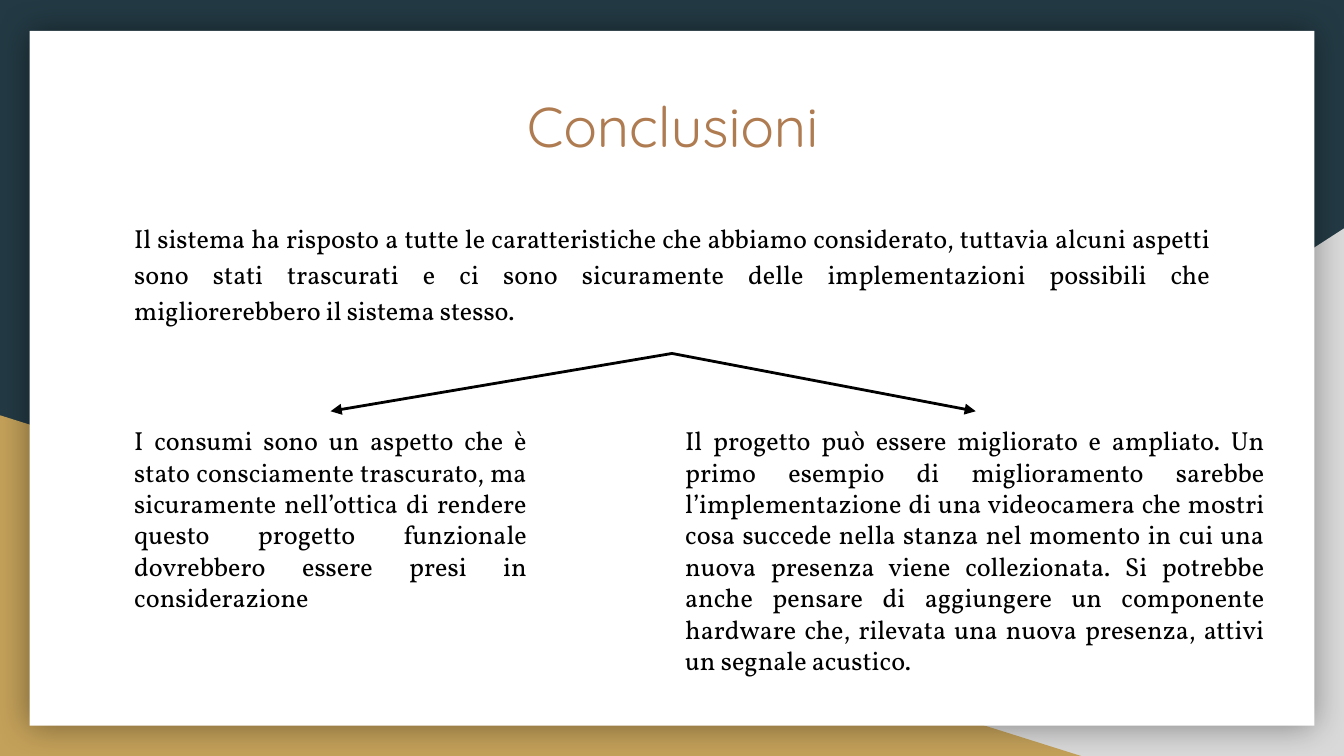
from lxml import etree
from pptx import Presentation
from pptx.dml.color import RGBColor
from pptx.enum.shapes import MSO_CONNECTOR, MSO_SHAPE
from pptx.enum.text import MSO_ANCHOR, PP_ALIGN
from pptx.oxml.ns import qn
from pptx.util import Inches, Pt

TRIANGLE, RECTANGLE = MSO_SHAPE.RIGHT_TRIANGLE, MSO_SHAPE.RECTANGLE
STRAIGHT, TOP = MSO_CONNECTOR.STRAIGHT, MSO_ANCHOR.TOP
CENTER, JUSTIFY = PP_ALIGN.CENTER, PP_ALIGN.JUSTIFY

INTRO = (
    "Il sistema ha risposto a tutte le caratteristiche che abbiamo considerato, "
    "tuttavia alcuni aspetti sono stati trascurati e ci sono sicuramente delle "
    "implementazioni possibili che migliorerebbero il sistema stesso. "
)
CONSUMPTION = (
    "I consumi sono un aspetto che è stato consciamente trascurato, ma "
    "sicuramente nell’ottica di rendere questo progetto funzionale dovrebbero "
    "essere presi in considerazione"
)
EXTENSIONS = (
    "Il progetto può essere migliorato e ampliato. Un primo esempio di "
    "miglioramento sarebbe l’implementazione di una videocamera che mostri cosa "
    "succede nella stanza nel momento in cui una nuova presenza viene "
    "collezionata. Si potrebbe anche pensare di aggiungere un componente hardware "
    "che, rilevata una nuova presenza, attivi un segnale acustico."
)


def color(hex_code):
    """Return the colour for a hex string."""
    return RGBColor.from_string(hex_code)


def add_block(s, kind, box, fill):
    """Add a filled shape without outline or shadow."""
    sp = s.shapes.add_shape(kind, *map(Inches, box))
    sp.fill.solid()
    sp.fill.fore_color.rgb = color(fill)
    sp.line.fill.background()
    sp.shadow.inherit = False
    return sp


def add_glow_shadow(sp, blur, opacity):
    """Give a shape a soft black shadow on all sides."""
    effects = sp._element.spPr.find(qn("a:effectLst"))
    shadow = etree.SubElement(effects, qn("a:outerShdw"), blurRad=str(Pt(blur)),
                              dist="0", dir="0", algn="ctr", rotWithShape="0")
    black = etree.SubElement(shadow, qn("a:srgbClr"), val="000000")
    etree.SubElement(black, qn("a:alpha"), val=str(opacity * 1000))


def add_text(s, box, text, size=14, font="Vollkorn", fill="000000",
             align=JUSTIFY, spacing=1.0):
    """Add a wrapped text box holding one paragraph."""
    tf = s.shapes.add_textbox(*map(Inches, box)).text_frame
    tf.word_wrap = True
    tf.vertical_anchor = TOP
    tf.margin_left = tf.margin_right = tf.margin_top = tf.margin_bottom = Inches(0.1)
    p = tf.paragraphs[0]
    p.alignment = align
    p.line_spacing = spacing
    r = p.add_run()
    r.text = text
    r.font.size = Pt(size)
    r.font.name = font
    r.font.color.rgb = color(fill)


def add_arrow(s, start, end):
    """Add a straight black arrow."""
    c = s.shapes.add_connector(STRAIGHT, *map(Inches, start + end))
    c.line.color.rgb = color("000000")
    c.line.width = Pt(1.5)
    etree.SubElement(c.line._get_or_add_ln(), qn("a:tailEnd"), type="triangle")
    etree.SubElement(c._element.spPr, qn("a:effectLst"))


def add_backdrop(s):
    """Add the dark background, corner triangles and white card."""
    s.background.fill.solid()
    s.background.fill.fore_color.rgb = color("233A44")
    corner = add_block(s, TRIANGLE, (3.92, 1.7, 6.08, 3.93), "D9D9D9")
    corner._element.spPr.xfrm.set("flipH", "1")
    add_block(s, TRIANGLE, (0, 3.09, 8.06, 2.54), "C4A15A")
    card = add_block(s, RECTANGLE, (0.22, 0.23, 9.56, 5.17), "FFFFFF")
    add_glow_shadow(card, 18, 40)


def main():
    """Build and save the conclusions slide."""
    prs = Presentation()
    prs.slide_width = Inches(10)
    prs.slide_height = prs.slide_width * 9 // 16
    s = prs.slides.add_slide(prs.slide_layouts[6])
    add_backdrop(s)
    add_text(s, (0.9, 0.58, 8.21, 1.04), "Conclusioni", 30, "Quicksand",
             "AF7B51", CENTER)
    add_text(s, (0.9, 1.52, 8.21, 1.11), INTRO, spacing=1.15)
    add_text(s, (0.9, 3.06, 3.12, 1.71), CONSUMPTION)
    add_text(s, (5, 3.06, 4.51, 2.01), EXTENSIONS)
    for target_x in (7.26, 2.46):
        add_arrow(s, (5, 2.63), (target_x, 3.06))
    prs.save("out.pptx")


if __name__ == "__main__":
    main()
